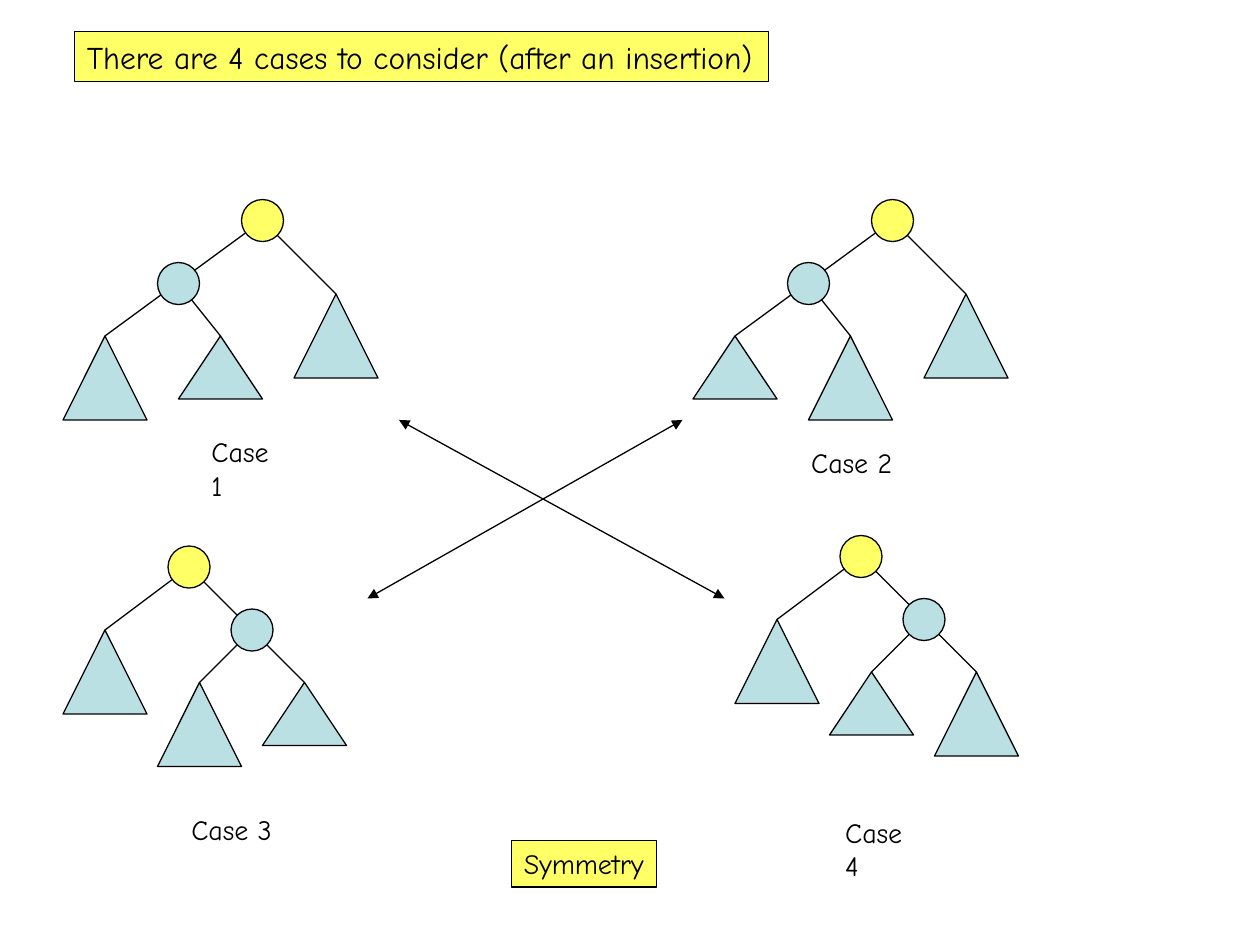
"""Build a slide of the four tree cases after an insertion and their symmetry."""
from lxml import etree
from pptx import Presentation
from pptx.dml.color import RGBColor
from pptx.enum.shapes import MSO_CONNECTOR, MSO_SHAPE
from pptx.enum.text import MSO_ANCHOR, MSO_AUTO_SIZE, PP_ALIGN
from pptx.oxml.ns import qn
from pptx.util import Inches, Pt

STRAIGHT = MSO_CONNECTOR.STRAIGHT
CIRCLE, TRIANGLE = MSO_SHAPE.OVAL, MSO_SHAPE.ISOSCELES_TRIANGLE
TOP, LEFT = MSO_ANCHOR.TOP, PP_ALIGN.LEFT
FIT_SHAPE = MSO_AUTO_SIZE.SHAPE_TO_FIT_TEXT

THEME = {
    "font": "Comic Neue", "title": 18, "label": 16, "line": 0.75,
    "ink": RGBColor.from_string("000000"),
    "yellow": RGBColor.from_string("FFFF66"),
    "blue": RGBColor.from_string("BBE0E3"),
}

COLUMNS, ROWS = 120, 90
CELL = Inches(10) // COLUMNS
NODE_SIZE, SUBTREE_WIDTH = 4, 8
TALL, SHORT = 8, 6

LEFT_HEAVY = {"child": (-8, 6), "far": (-15, 11), "near": (-4, 11), "outer": (7, 7)}
RIGHT_HEAVY = {"child": (6, 6), "far": (11, 11), "near": (1, 11), "outer": (-8, 6)}

CASES = [
    {"root": (25, 21), "layout": LEFT_HEAVY, "far": TALL, "near": SHORT,
     "label": "Case 1", "box": (18.96, 40.8, 9.72, 4.44)},
    {"root": (85, 21), "layout": LEFT_HEAVY, "far": SHORT, "near": TALL,
     "label": "Case 2", "box": (76.08, 41.88, 10.08, 4.44)},
    {"root": (18, 54), "layout": RIGHT_HEAVY, "far": SHORT, "near": TALL,
     "label": "Case 3", "box": (17.04, 76.8, 10.08, 4.44)},
    {"root": (82, 53), "layout": RIGHT_HEAVY, "far": TALL, "near": SHORT,
     "label": "Case 4", "box": (79.32, 77.04, 9.96, 4.44)},
]
SYMMETRIES = [((38, 40), (69, 57)), ((65, 40), (35, 57))]
TITLE = "There are 4 cases to consider (after an insertion)"
TITLE_BOX = (7.08, 3, 66.12, 4.8)
SYMMETRY_BOX = (48.72, 80.04, 13.8, 4.44)


def cells(*values):
    return [round(value * CELL) for value in values]


def outline(item):
    item.line.color.rgb = THEME["ink"]
    item.line.width = Pt(THEME["line"])


def add_text(slide, text, box, size=THEME["label"], fill=None):
    label = slide.shapes.add_textbox(*cells(*box))
    if fill:
        label.fill.solid()
        label.fill.fore_color.rgb = fill
        outline(label)
    frame = label.text_frame
    frame.word_wrap = False
    frame.auto_size = FIT_SHAPE
    frame.vertical_anchor = TOP
    paragraph = frame.paragraphs[0]
    paragraph.alignment = LEFT
    run = paragraph.add_run()
    run.text = text
    run.font.name = THEME["font"]
    run.font.size = Pt(size)
    run.font.color.rgb = THEME["ink"]


def add_line(shapes, start, end, arrows=False):
    line = shapes.add_connector(STRAIGHT, *cells(*start, *end))
    outline(line)
    if arrows:
        for tip in ("a:headEnd", "a:tailEnd"):
            etree.SubElement(line.line._get_or_add_ln(), qn(tip), type="triangle")
    etree.SubElement(line._element.spPr, qn("a:effectLst"))


def add_part(shapes, kind, box, fill):
    part = shapes.add_shape(kind, *cells(*box))
    part.shadow.inherit = False
    part.fill.solid()
    part.fill.fore_color.rgb = fill
    outline(part)


def add_node(shapes, center, fill):
    x, y = center
    half = NODE_SIZE / 2
    add_part(shapes, CIRCLE, (x - half, y - half, NODE_SIZE, NODE_SIZE), fill)


def add_subtree(shapes, apex, height):
    x, y = apex
    box = (x - SUBTREE_WIDTH / 2, y, SUBTREE_WIDTH, height)
    add_part(shapes, TRIANGLE, box, THEME["blue"])


def add_tree(slide, case):
    shapes = slide.shapes.add_group_shape().shapes
    root = case["root"]
    spots = {role: (root[0] + dx, root[1] + dy)
             for role, (dx, dy) in case["layout"].items()}
    add_line(shapes, root, spots["outer"])
    add_line(shapes, root, spots["far"])
    add_line(shapes, spots["child"], spots["near"])
    add_node(shapes, root, THEME["yellow"])
    add_node(shapes, spots["child"], THEME["blue"])
    for role in ("far", "near", "outer"):
        add_subtree(shapes, spots[role], case.get(role, TALL))


def main():
    deck = Presentation()
    deck.slide_width, deck.slide_height = cells(COLUMNS, ROWS)
    slide = deck.slides.add_slide(deck.slide_layouts[6])
    add_text(slide, TITLE, TITLE_BOX, size=THEME["title"], fill=THEME["yellow"])
    for case in CASES:
        add_tree(slide, case)
        add_text(slide, case["label"], case["box"])
    for start, end in SYMMETRIES:
        add_line(slide.shapes, start, end, arrows=True)
    add_text(slide, "Symmetry", SYMMETRY_BOX, fill=THEME["yellow"])
    deck.save("out.pptx")


if __name__ == "__main__":
    main()
